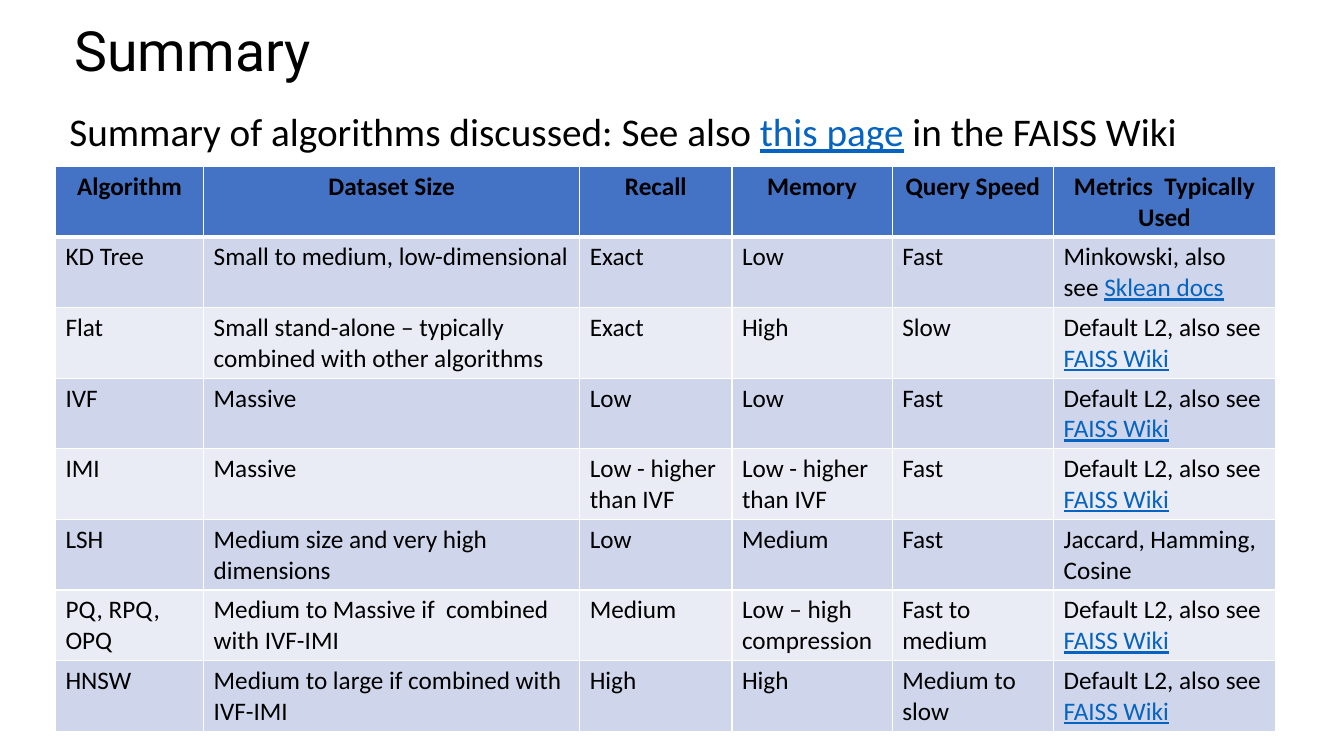
from dataclasses import dataclass

from lxml import etree
from pptx import Presentation
from pptx.dml.color import RGBColor
from pptx.enum import text
from pptx.oxml import ns
from pptx.util import Inches, Pt


@dataclass(frozen=True)
class Theme:
    """Colours, fonts and type sizes of the slide."""
    ink: str = "000000"
    link: str = "0563C1"
    header: str = "4472C4"
    bands: tuple = ("CFD5EA", "E9EBF5")
    rule: str = "FFFFFF"
    title_font: str = "Roboto"
    body_font: str = "Calibri"
    title_size: float = 39.6
    lead_size: float = 28
    cell_size: float = 18
    thin: float = 1
    thick: float = 3


THEME = Theme()
COL_WIDTHS = (1.47, 3.73, 1.51, 1.59, 1.6, 2.2)
HEADINGS = ("Algorithm", "Dataset Size", "Recall", "Memory", "Query Speed",
            "Metrics  Typically Used")
WIKI = ("Default L2, also see ", "FAISS Wiki")
ROWS = (
    ("KD Tree", "Small to medium, low-dimensional", "Exact", "Low", "Fast",
     ("Minkowski, also see ", "Sklean docs")),
    ("Flat", "Small stand-alone – typically combined with other algorithms",
     "Exact", "High", "Slow", WIKI),
    ("IVF", "Massive", "Low", "Low", "Fast", WIKI),
    ("IMI", "Massive", "Low - higher than IVF", "Low - higher than IVF",
     "Fast", WIKI),
    ("LSH", "Medium size and very high dimensions", "Low", "Medium", "Fast",
     "Jaccard, Hamming, Cosine"),
    ("PQ, RPQ, OPQ", "Medium to Massive if  combined with IVF-IMI", "Medium",
     "Low – high compression", "Fast to medium", WIKI),
    ("HNSW", "Medium to large if combined with IVF-IMI", "High", "High",
     "Medium to slow", WIKI),
)


def write(p, content, size, font=THEME.body_font, bold=False):
    """Fill a paragraph; in a tuple every second part is styled as a link."""
    p.font.size = Pt(size)
    p.font.name = font
    p.font.bold = bold
    p.font.color.rgb = RGBColor.from_string(THEME.ink)
    parts = (content,) if isinstance(content, str) else content
    for i, part in enumerate(parts):
        r = p.add_run()
        r.text = part
        if i % 2:
            r.font.underline = True
            r.font.color.rgb = RGBColor.from_string(THEME.link)


def add_line(s, box, content, size, font, anchor):
    """Place one line of text in the given box."""
    tf = s.shapes.add_textbox(*map(Inches, box)).text_frame
    tf.word_wrap = True
    tf.vertical_anchor = anchor
    p = tf.paragraphs[0]
    p.line_spacing = 0.9
    write(p, content, size, font)


def set_borders(cell, top, bottom):
    """Draw the white rules around a cell, widths in points."""
    tcPr = cell._tc.get_or_add_tcPr()
    widths = {"lnL": THEME.thin, "lnR": THEME.thin, "lnT": top, "lnB": bottom}
    for i, (tag, width) in enumerate(widths.items()):
        ln = etree.Element(ns.qn(f"a:{tag}"), w=str(Pt(width)))
        fill = etree.SubElement(ln, ns.qn("a:solidFill"))
        etree.SubElement(fill, ns.qn("a:srgbClr"), val=THEME.rule)
        tcPr.insert(i, ln)


def add_summary_table(s, box):
    """Build the banded comparison table in the given box."""
    rows = (HEADINGS,) + ROWS
    table = s.shapes.add_table(len(rows), len(HEADINGS),
                               *map(Inches, box)).table
    table.first_row = table.horz_banding = False
    for col, width in zip(table.columns, COL_WIDTHS):
        col.width = Inches(width)
    for i, row in enumerate(rows):
        head = i == 0
        colour = THEME.header if head else THEME.bands[(i - 1) % 2]
        for j, content in enumerate(row):
            cell = table.cell(i, j)
            cell.fill.solid()
            cell.fill.fore_color.rgb = RGBColor.from_string(colour)
            set_borders(cell, THEME.thick if i == 1 else THEME.thin,
                        THEME.thick if head else THEME.thin)
            p = cell.text_frame.paragraphs[0]
            p.alignment = text.PP_ALIGN.CENTER if head else text.PP_ALIGN.LEFT
            write(p, content, THEME.cell_size, bold=head)


def main():
    """Create the summary slide and save it."""
    prs = Presentation()
    prs.slide_width, prs.slide_height = Inches(13.33), Inches(7.5)
    s = prs.slides.add_slide(prs.slide_layouts[6])
    add_line(s, (0.64, 0.24, 11.5, 0.58), "Summary", THEME.title_size,
             THEME.title_font, text.MSO_ANCHOR.MIDDLE)
    lead = ("Summary of algorithms discussed: See also ", "this page",
            " in the FAISS Wiki")
    add_line(s, (0.59, 1.07, 12.04, 0.58), lead, THEME.lead_size,
             THEME.body_font, text.MSO_ANCHOR.TOP)
    add_summary_table(s, (0.55, 1.65, sum(COL_WIDTHS), 5.6))
    prs.save("out.pptx")


if __name__ == "__main__":
    main()
